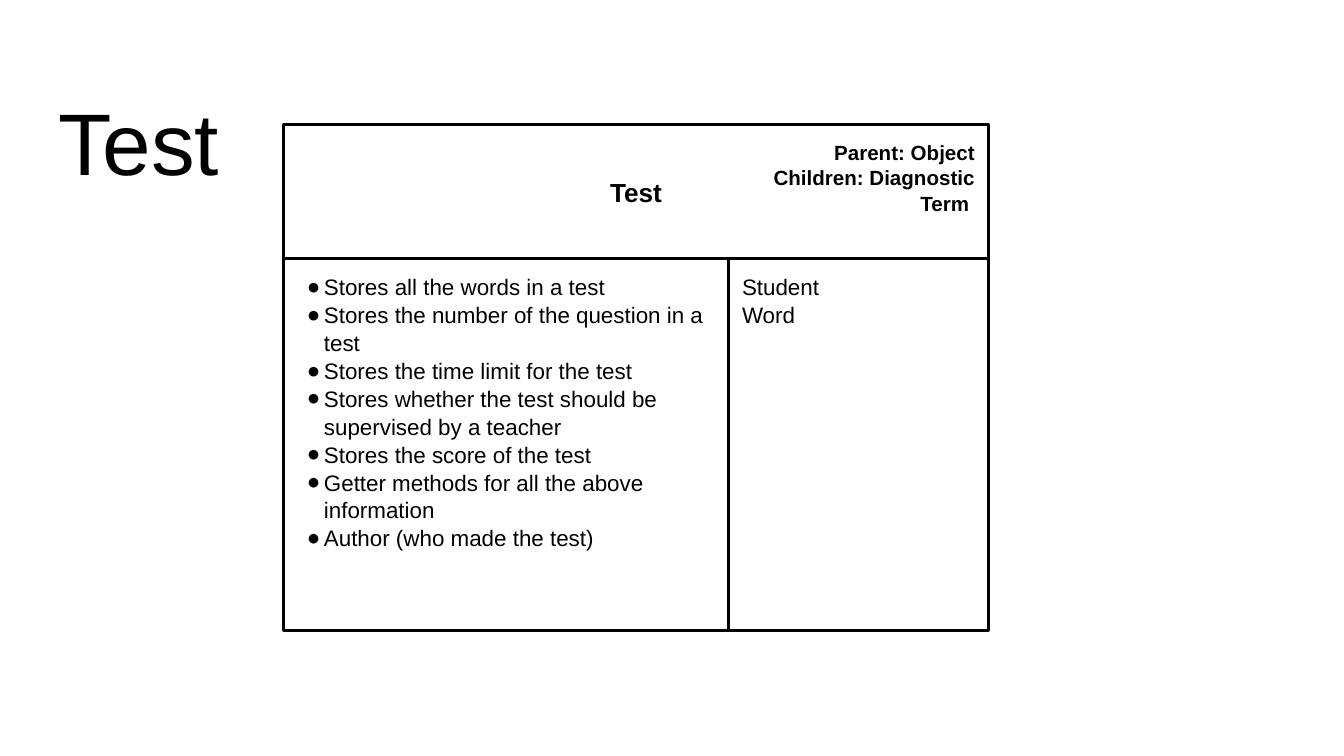
from dataclasses import dataclass
from typing import Optional

from lxml import etree
from pptx import Presentation
from pptx import util as u
from pptx.dml.color import RGBColor
from pptx.enum import shapes, text
from pptx.oxml.ns import qn

SCALE = 914400 / 134.4
COLORS = {"ink": "000000", "paper": "FFFFFF"}
FONT = "Arial"
INSET = 13
BULLET_MARGIN, BULLET_INDENT = 27, -17

LEFT, TOP, WIDTH, HEIGHT = 284, 125, 704, 505
HEADER_HEIGHT, DUTIES_WIDTH = 134, 445
SPLIT_X, SPLIT_Y = LEFT + DUTIES_WIDTH, TOP + HEADER_HEIGHT
PARTNERS_WIDTH, BODY_HEIGHT = WIDTH - DUTIES_WIDTH, HEIGHT - HEADER_HEIGHT

ALIGN = text.PP_ALIGN
ANCHOR = text.MSO_ANCHOR


@dataclass(frozen=True)
class Panel:
    left: int
    top: int
    width: int
    height: int
    lines: tuple[str, ...] = ()
    size: float = 12
    border: Optional[float] = 1.5
    bold: bool = False
    bulleted: bool = False
    align: ALIGN = ALIGN.LEFT
    anchor: ANCHOR = ANCHOR.TOP
    spacing: float = 1.04


DUTIES = (
    "Stores all the words in a test",
    "Stores the number of the question in a test",
    "Stores the time limit for the test",
    "Stores whether the test should be supervised by a teacher",
    "Stores the score of the test",
    "Getter methods for all the above information",
    "Author (who made the test)",
)

CARD = (
    Panel(LEFT, TOP, WIDTH, HEIGHT, border=2.25),
    Panel(LEFT, TOP, WIDTH, HEADER_HEIGHT, ("Test",), 14, bold=True,
          align=ALIGN.CENTER, anchor=ANCHOR.MIDDLE),
    Panel(SPLIT_X, TOP, PARTNERS_WIDTH, 54, ("Parent: Object",), 11, None, True,
          align=ALIGN.RIGHT, anchor=ANCHOR.MIDDLE),
    Panel(SPLIT_X, 163, PARTNERS_WIDTH, 54, ("Children: Diagnostic", "Term "), 11, None, True,
          align=ALIGN.RIGHT, anchor=ANCHOR.MIDDLE),
    Panel(LEFT, SPLIT_Y, DUTIES_WIDTH, BODY_HEIGHT, DUTIES, bulleted=True),
    Panel(SPLIT_X, SPLIT_Y, PARTNERS_WIDTH, BODY_HEIGHT, ("Student", "Word")),
)
TITLE = Panel(46, 66, 1253, 84, ("Test",), 46.8, None, spacing=1.09)


def px(length: int) -> u.Emu:
    return u.Emu(round(length * SCALE))


def color(name: str) -> RGBColor:
    return RGBColor.from_string(COLORS[name])


def add_bullet(para) -> None:
    properties = para._p.get_or_add_pPr()
    properties.set("marL", str(px(BULLET_MARGIN)))
    properties.set("indent", str(px(BULLET_INDENT)))
    bullet_color = etree.SubElement(properties, qn("a:buClr"))
    etree.SubElement(bullet_color, qn("a:srgbClr"), val=COLORS["ink"])
    etree.SubElement(properties, qn("a:buFont"), typeface=FONT)
    etree.SubElement(properties, qn("a:buChar"), char="●")


def write_lines(box, panel: Panel) -> None:
    frame = box.text_frame
    frame.word_wrap = True
    frame.vertical_anchor = panel.anchor
    frame.margin_left = frame.margin_right = px(INSET)
    frame.margin_top = frame.margin_bottom = px(INSET)
    frame.text = "\n".join(panel.lines)
    for para in frame.paragraphs:
        para.alignment = panel.align
        para.line_spacing = panel.spacing
        if panel.bulleted:
            add_bullet(para)
        for span in para.runs:
            span.font.name = FONT
            span.font.size = u.Pt(panel.size)
            span.font.bold = panel.bold
            span.font.color.rgb = color("ink")


def draw_panel(container, panel: Panel) -> None:
    bounds = [px(n) for n in (panel.left, panel.top, panel.width, panel.height)]
    if panel.border is None:
        box = container.add_textbox(*bounds)
    else:
        box = container.add_shape(shapes.MSO_SHAPE.RECTANGLE, *bounds)
        box.shadow.inherit = False
        box.fill.solid()
        box.fill.fore_color.rgb = color("paper")
        box.line.color.rgb = color("ink")
        box.line.width = u.Pt(panel.border)
    if panel.lines:
        write_lines(box, panel)


def main() -> None:
    deck = Presentation()
    deck.slide_width, deck.slide_height = px(1344), px(756)
    page = deck.slides.add_slide(deck.slide_layouts[6])
    card = page.shapes.add_group_shape()
    for panel in CARD:
        draw_panel(card.shapes, panel)
    draw_panel(page.shapes, TITLE)
    deck.save("out.pptx")


if __name__ == "__main__":
    main()
